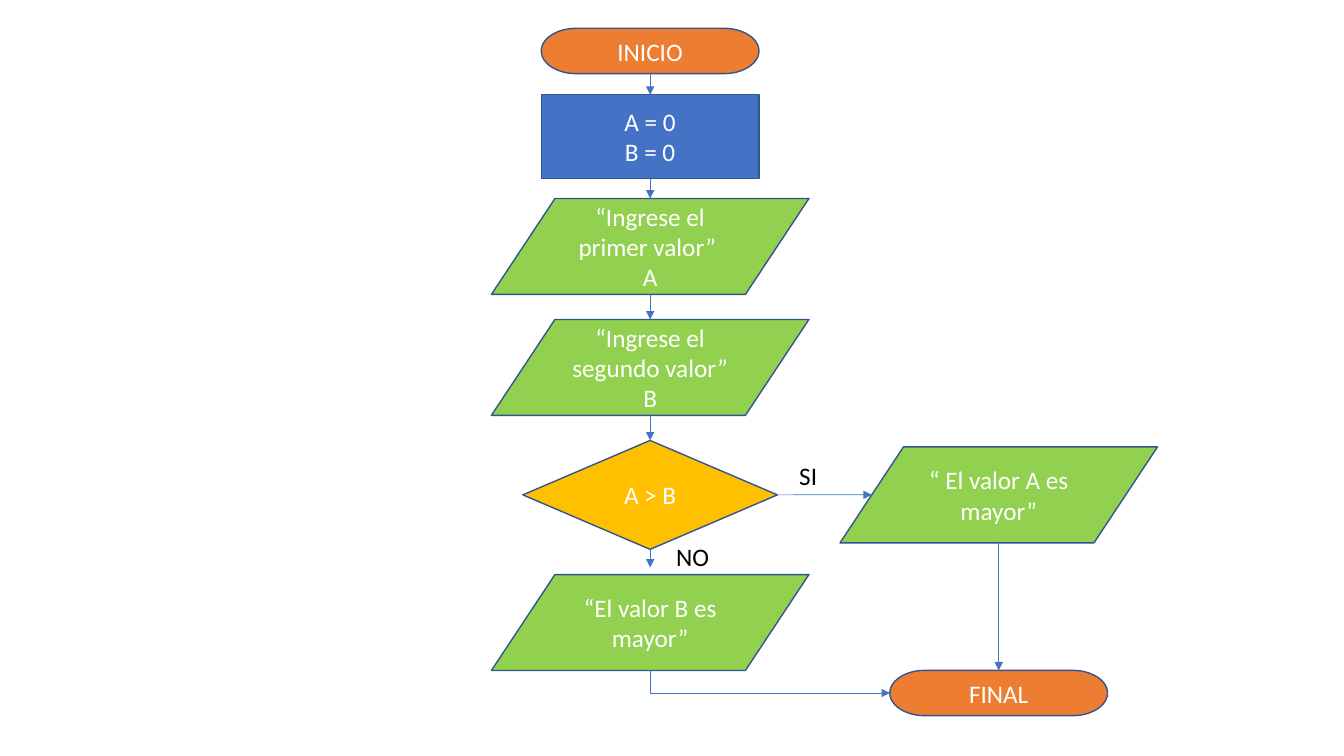
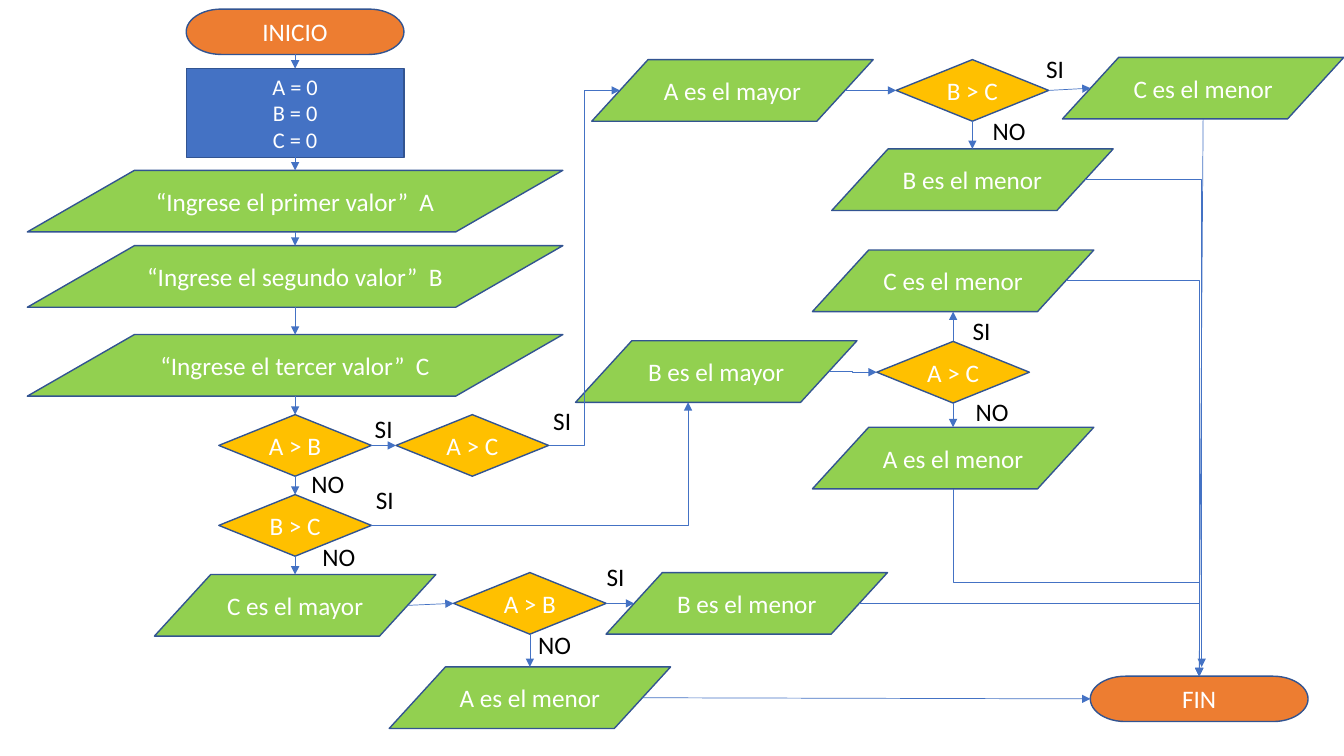
from dataclasses import dataclass

from lxml import etree
from pptx import Presentation
from pptx.dml.color import RGBColor
from pptx.enum import shapes as sh, text as tx
from pptx.oxml import ns
from pptx.util import Pt


@dataclass(frozen=True)
class Theme:
    """Colours, font and type sizes of the flow charts."""
    orange: str = "ED7D31"
    blue: str = "4472C4"
    green: str = "92D050"
    gold: str = "FFC000"
    edge: str = "325491"
    white: str = "FFFFFF"
    black: str = "000000"
    font: str = "Calibri"
    body: float = 18
    small: float = 16


THEME = Theme()
FLOW = sh.MSO_SHAPE
KINDS = {
    "end": (FLOW.FLOWCHART_TERMINATOR, THEME.orange),
    "set": (FLOW.FLOWCHART_PROCESS, THEME.blue),
    "data": (FLOW.FLOWCHART_DATA, THEME.green),
    "test": (FLOW.FLOWCHART_DECISION, THEME.gold),
}
# Each side: glue index, then place as a share of width and height.
SITES = {"top": (0, 0.5, 0), "left": (1, 0, 0.5),
         "bottom": (2, 0.5, 1), "right": (3, 1, 0.5)}
SLANTED = {"top": (1, 0.5, 0), "left": (2, 0.1, 0.5), "foot": (3, 0.4, 1),
           "bottom": (4, 0.5, 1), "right": (5, 0.9, 0.5)}
END = (155.5, 32.4)


def write(frame, lines, size=THEME.body, color=THEME.white, align=None):
    """Fill a text frame, one paragraph a line."""
    for num, line in enumerate(lines.split("\n")):
        para = frame.paragraphs[0] if num == 0 else frame.add_paragraph()
        para.alignment = align
        run = para.add_run()
        run.text = line
        run.font.name, run.font.size = THEME.font, Pt(size)
        run.font.color.rgb = RGBColor.from_string(color)


def node(slide, kind, mid, top, area, words, **style):
    """Draw a flow chart step centred on x = mid."""
    form, fill = KINDS[kind]
    wide, high = area
    step = slide.shapes.add_shape(
        form, Pt(mid - wide / 2), Pt(top), Pt(wide), Pt(high))
    step.shadow.inherit = False
    step.fill.solid()
    step.fill.fore_color.rgb = RGBColor.from_string(fill)
    step.line.color.rgb = RGBColor.from_string(THEME.edge)
    step.line.width = Pt(1)
    step.text_frame.word_wrap = True
    step.text_frame.vertical_anchor = tx.MSO_ANCHOR.MIDDLE
    write(step.text_frame, words, align=tx.PP_ALIGN.CENTER, **style)
    return step


def site(step, side):
    """Return glue index, x and y of one side of a step."""
    slant = step.auto_shape_type == FLOW.FLOWCHART_DATA
    num, across, down = (SLANTED if slant else SITES)[side]
    return (num, round(step.left + across * step.width),
            round(step.top + down * step.height))


def glue(line, tag, step, num):
    """Tie one end of a connector to a step."""
    holder = line._element.find(".//" + ns.qn("p:cNvCxnSpPr"))
    etree.SubElement(holder, ns.qn(tag), id=str(step.shape_id), idx=str(num))


def turn(line):
    """Make an elbow leave downwards instead of sideways."""
    wide, high = line.width, line.height
    line.left += (wide - high) // 2
    line.top += (high - wide) // 2
    line.width, line.height = high, wide
    frame = line._element.spPr.find(ns.qn("a:xfrm"))
    frame.set("rot", "16200000")
    frame.set("flipH", "1")


def link(slide, start, out, goal, into="top", bend=0):
    """Draw an arrow with 0, 1 or 2 bends to a step or a free point."""
    num, x, y = site(start, out)
    free = isinstance(goal, tuple)
    last, right, low = (None, *map(Pt, goal)) if free else site(goal, into)
    kind = sh.MSO_CONNECTOR.ELBOW if bend else sh.MSO_CONNECTOR.STRAIGHT
    line = slide.shapes.add_connector(kind, x, y, right, low)
    line.line.color.rgb = RGBColor.from_string(THEME.blue)
    line.line.width = Pt(0.5)
    props = line._element.spPr
    etree.SubElement(props.find(ns.qn("a:ln")), ns.qn("a:tailEnd"),
                     type="triangle")
    etree.SubElement(props, ns.qn("a:effectLst"))
    if bend == 1:
        props.find(ns.qn("a:prstGeom")).set("prst", "bentConnector2")
    if bend and out == "bottom":
        turn(line)
    glue(line, "a:stCxn", start, num)
    if not free:
        glue(line, "a:endCxn", goal, last)


def chain(slide, steps):
    """Join steps from top to bottom."""
    for upper, lower in zip(steps, steps[1:]):
        link(slide, upper, "bottom", lower)


def label(slide, words, *spots):
    """Write a branch label at each (left, top) spot."""
    wide = {"SI": 27.4, "NO": 38.2}[words]
    for left, top in spots:
        box = slide.shapes.add_textbox(Pt(left), Pt(top), Pt(wide), Pt(29))
        box.text_frame.word_wrap = False
        box.text_frame.auto_size = tx.MSO_AUTO_SIZE.SHAPE_TO_FIT_TEXT
        write(box.text_frame, words, color=THEME.black)


def two_values(slide):
    """Chart that finds the larger of two values."""
    mid, side, data = 464.4, 713.4, (226.8, 68.5)
    begin = node(slide, "end", mid, 20.2, END, "INICIO")
    zero = node(slide, "set", mid, 67.7, (155.5, 60), "A = 0\nB = 0")
    first = node(slide, "data", mid, 141.8, data,
                 "“Ingrese el primer valor” \nA")
    second = node(slide, "data", mid, 228.2, data,
                  "“Ingrese el segundo valor” B")
    test = node(slide, "test", mid, 314.6, (181.8, 77.8), "A > B")
    a_max = node(slide, "data", side, 319.2, data, "“ El valor A es mayor”")
    b_max = node(slide, "data", mid, 410.4, data, "“El valor B es mayor”")
    final = node(slide, "end", side, 478.8, END, "FINAL")

    chain(slide, [begin, zero, first, second, test])
    link(slide, test, "bottom", (mid, 405.4))
    link(slide, test, "right", a_max, "left")
    link(slide, b_max, "bottom", final, "left", bend=1)
    link(slide, a_max, "bottom", final)
    label(slide, "SI", (563.8, 325.4))
    label(slide, "NO", (475.9, 383))


def three_values(slide):
    """Chart that sorts out the largest and smallest of three values."""
    main_x, inner, outer = 210.8, 378.5, 680.8
    high = 44
    wide, data, fork = (382.5, high), (201, high), (109, high)

    def test(mid, top, words):
        """Draw a decision."""
        return node(slide, "test", mid, top, fork, words)

    def result(mid, top, words):
        """Draw an outcome."""
        return node(slide, "data", mid, top, data, words)

    begin = node(slide, "end", main_x, 6.5, END, "INICIO")
    zero = node(slide, "set", main_x, 49, (155.5, 63.4),
                "A = 0\nB = 0\nC = 0", size=THEME.small)
    asks = [node(slide, "data", main_x, top, wide,
                 f"“Ingrese el {rank} valor”  {name}")
            for top, rank, name in ((121.7, "primer", "A"),
                                    (175.5, "segundo", "B"),
                                    (239, "tercer", "C"))]
    a_b = test(main_x, 296.2, "A > B")
    a_c = test(337.4, 296.2, "A > C")
    b_c = test(main_x, 353.3, "B > C")
    a_max = result(523.2, 42.6, "A es el mayor")
    b_max = result(511.6, 243.4, "B es el mayor")
    c_max = result(main_x, 410.4, "C es el mayor")

    a_test = test(694.6, 42.6, "B > C")
    a_yes = result(859.4, 41, "C es el menor")
    a_no = result(694.6, 106.4, "B es el menor")
    b_test = test(outer, 243.9, "A > C")
    b_yes = result(outer, 178.6, "C es el menor")
    b_no = result(outer, 305.2, "A es el menor")
    c_test = test(inner, 409, "A > B")
    c_yes = result(533.4, 409, "B es el menor")
    c_no = result(inner, 476.4, "A es el menor")
    final = node(slide, "end", 856.6, 483, END, "FIN")

    chain(slide, [begin, zero, *asks, a_b, b_c, c_max])
    for start, goal in ((a_b, a_c), (a_max, a_test), (a_test, a_yes),
                        (c_max, c_test), (c_test, c_yes), (c_no, final)):
        link(slide, start, "right", goal, "left")
    for start, goal in ((a_test, a_no), (b_test, b_no), (c_test, c_no),
                        (a_yes, final)):
        link(slide, start, "bottom", goal)
    link(slide, b_test, "top", b_yes, "bottom")
    link(slide, a_c, "right", a_max, "left", bend=2)
    link(slide, b_max, "right", b_test, "left", bend=2)
    link(slide, b_c, "right", b_max, "foot", bend=1)
    link(slide, b_no, "bottom", final, bend=2)
    for start, goal in ((c_yes, final), (b_yes, final),
                        (a_no, (858.4, 476.4))):
        link(slide, start, "right", goal, bend=1)

    label(slide, "SI", (260.6, 291.6), (388.1, 285.8), (740.2, 34.6),
          (687.6, 221.8), (261.4, 342.7), (426.2, 397.4))
    label(slide, "NO", (215.3, 331.2), (223.2, 383), (377.3, 445.7),
          (689.8, 279.4), (702, 78.5))


def main():
    """Build and save the deck."""
    deck = Presentation()
    deck.slide_width, deck.slide_height = Pt(960), Pt(540)
    for draw in (two_values, three_values):
        draw(deck.slides.add_slide(deck.slide_layouts[6]))
    deck.save("out.pptx")


main()
